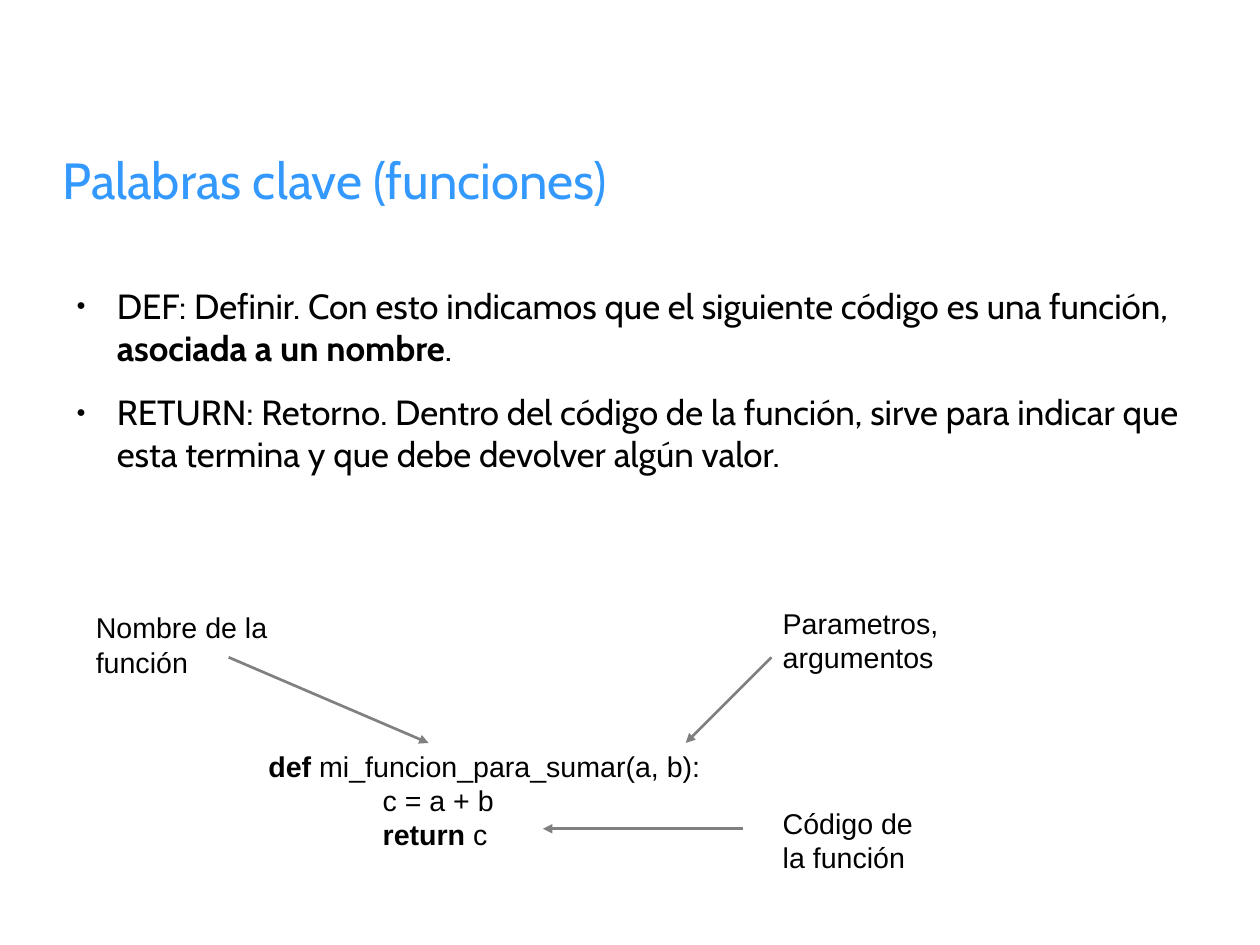
"""Build the slide that explains the keywords of a function."""
from dataclasses import dataclass

from lxml import etree
from pptx import Presentation
from pptx.dml.color import RGBColor
from pptx.enum import shapes, text
from pptx.oxml import ns
from pptx.util import Pt


@dataclass(frozen=True)
class Theme:
    """Colours, fonts and type sizes of the slide."""
    heading: RGBColor = RGBColor(0x33, 0x99, 0xFF)
    ink: RGBColor = RGBColor(0, 0, 0)
    arrow: RGBColor = RGBColor(0x80, 0x80, 0x80)
    prose_font: str = "Cabin"
    label_font: str = "Arial"
    heading_size: int = 32
    prose_size: int = 22
    label_size: int = 18
    arrow_width: float = 1.7


THEME = Theme()
LABEL_STYLE = (THEME.label_font, THEME.label_size, THEME.ink)
PROSE_STYLE = (THEME.prose_font, THEME.prose_size, THEME.ink)
HEADING_STYLE = (THEME.prose_font, THEME.heading_size, THEME.heading)

HEADING = [[("Palabras clave (funciones)", False)]]
KEYWORDS = [
    [("DEF: Definir. Con esto indicamos que el siguiente código es una función, ", False),
     ("asociada a un nombre", True), (".", False)],
    [("RETURN: Retorno. Dentro del código de la función, sirve para indicar que "
      "esta termina y que debe devolver algún valor.", False)],
]
CODE = [
    [("def", True), (" mi_funcion_para_sumar(a, b):", False)],
    [("c = a + b", False)],
    [("return", True), (" c", False)],
]
LABELS = [
    ((53.28, 380.88, 185.04, 27.36), ["Nombre de la función"], False),
    ((486, 378, 162, 47.52), ["Parametros, argumentos"], True),
    ((486, 504, 144, 47.52), ["Código de", "la función"], True),
]
ARROWS = [
    ((144, 414), (270, 468)),
    ((486, 414), (432, 468)),
    ((468, 522), (342, 522)),
]


def add_text(slide, box, lines, style, insets=(0, 0), wrap=True,
             anchor=text.MSO_ANCHOR.TOP):
    """Add a text box of styled runs and return its frame."""
    frame = slide.shapes.add_textbox(*map(Pt, box)).text_frame
    frame.word_wrap = wrap
    frame.vertical_anchor = anchor
    frame.margin_left = frame.margin_right = Pt(insets[0])
    frame.margin_top = frame.margin_bottom = Pt(insets[1])
    font_name, size, colour = style
    for index, line in enumerate(lines):
        paragraph = frame.add_paragraph() if index else frame.paragraphs[0]
        for words, bold in line:
            run = paragraph.add_run()
            run.text = words
            run.font.name = font_name
            run.font.size = Pt(size)
            run.font.bold = bold
            run.font.color.rgb = colour
    return frame


def add_label(slide, box, lines, wrap=True):
    """Add a text box in label style that fits its text."""
    frame = add_text(slide, box, lines, LABEL_STYLE, (7.2, 3.6), wrap)
    frame.auto_size = text.MSO_AUTO_SIZE.SHAPE_TO_FIT_TEXT
    return frame


def indent(paragraph, left, first=0):
    """Set the left margin and the first-line indent of a paragraph."""
    properties = paragraph._p.get_or_add_pPr()
    properties.set("marL", str(Pt(left)))
    properties.set("indent", str(Pt(first)))
    return properties


def add_bullet(paragraph):
    """Give a paragraph a small round bullet and space after it."""
    paragraph.space_after = Pt(14.2)
    properties = indent(paragraph, 34, -25.5)
    colour = etree.SubElement(properties, ns.qn("a:buClr"))
    etree.SubElement(colour, ns.qn("a:srgbClr"), val=str(THEME.ink))
    etree.SubElement(properties, ns.qn("a:buSzPct"), val="45000")
    etree.SubElement(properties, ns.qn("a:buFont"), typeface=THEME.label_font)
    etree.SubElement(properties, ns.qn("a:buChar"), char="●")


def add_arrow(slide, start, end):
    """Add a straight grey arrow that points at its end."""
    arrow = slide.shapes.add_connector(
        shapes.MSO_CONNECTOR.STRAIGHT, *map(Pt, start + end))
    arrow.line.color.rgb = THEME.arrow
    arrow.line.width = Pt(THEME.arrow_width)
    etree.SubElement(arrow.line._get_or_add_ln(), ns.qn("a:tailEnd"), type="triangle")
    etree.SubElement(arrow._element.spPr, ns.qn("a:effectLst"))


def main():
    """Build and save the slide."""
    deck = Presentation()
    deck.slide_width, deck.slide_height = Pt(793.75), Pt(595.25)
    slide = deck.slides.add_slide(deck.slide_layouts[6])

    add_text(slide, (39.6, 63.36, 714.24, 99.36), HEADING, HEADING_STYLE,
             anchor=text.MSO_ANCHOR.MIDDLE)
    keywords = add_text(slide, (39.6, 179.28, 714.24, 345.6), KEYWORDS, PROSE_STYLE)
    for keyword in keywords.paragraphs:
        add_bullet(keyword)

    code = add_label(slide, (162, 468, 288, 67.68), CODE)
    for body_line in code.paragraphs[1:]:
        indent(body_line, 72)

    for box, lines, wrap in LABELS:
        add_label(slide, box, [[(line, False)] for line in lines], wrap)
    for start, end in ARROWS:
        add_arrow(slide, start, end)

    deck.save("out.pptx")


if __name__ == "__main__":
    main()
